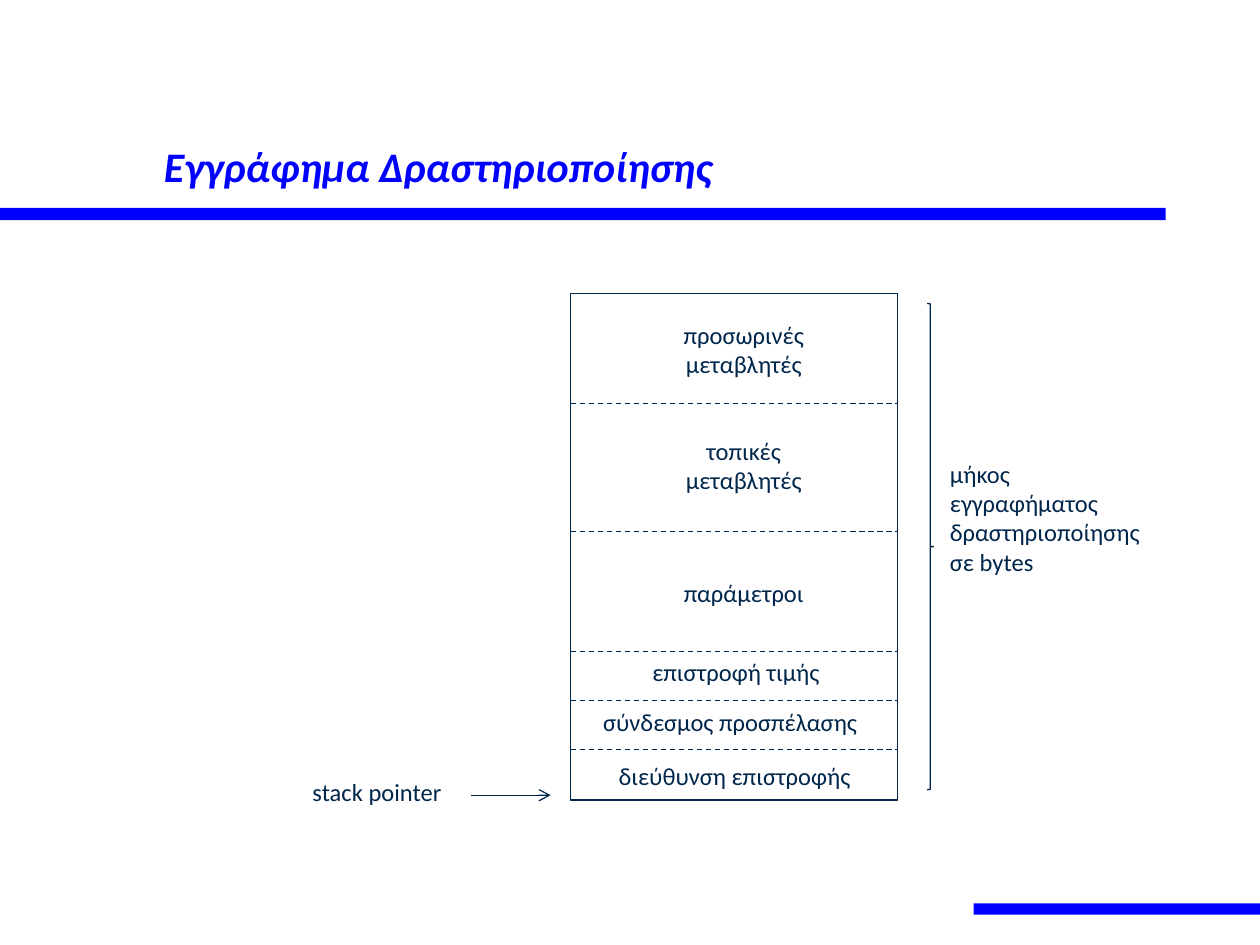
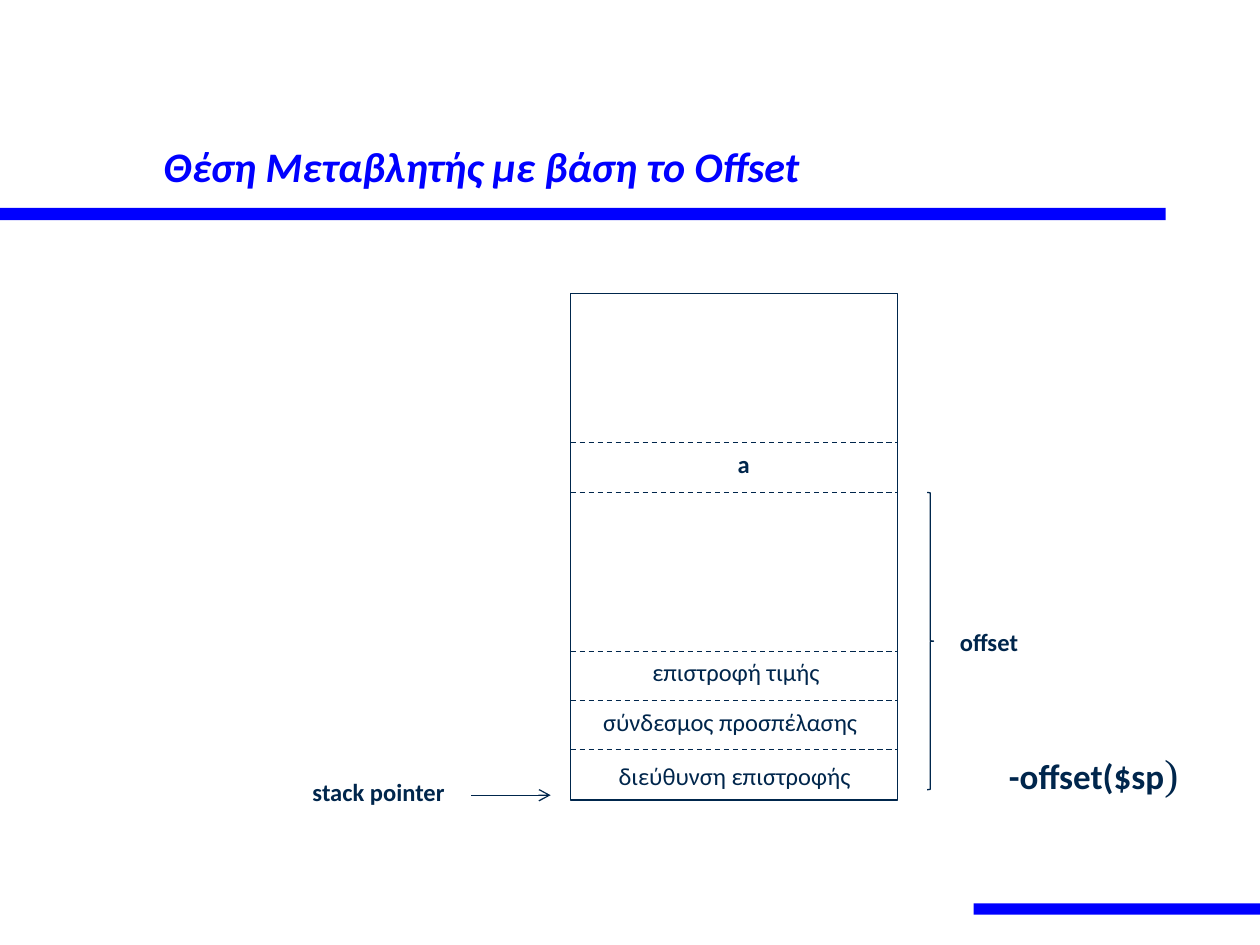
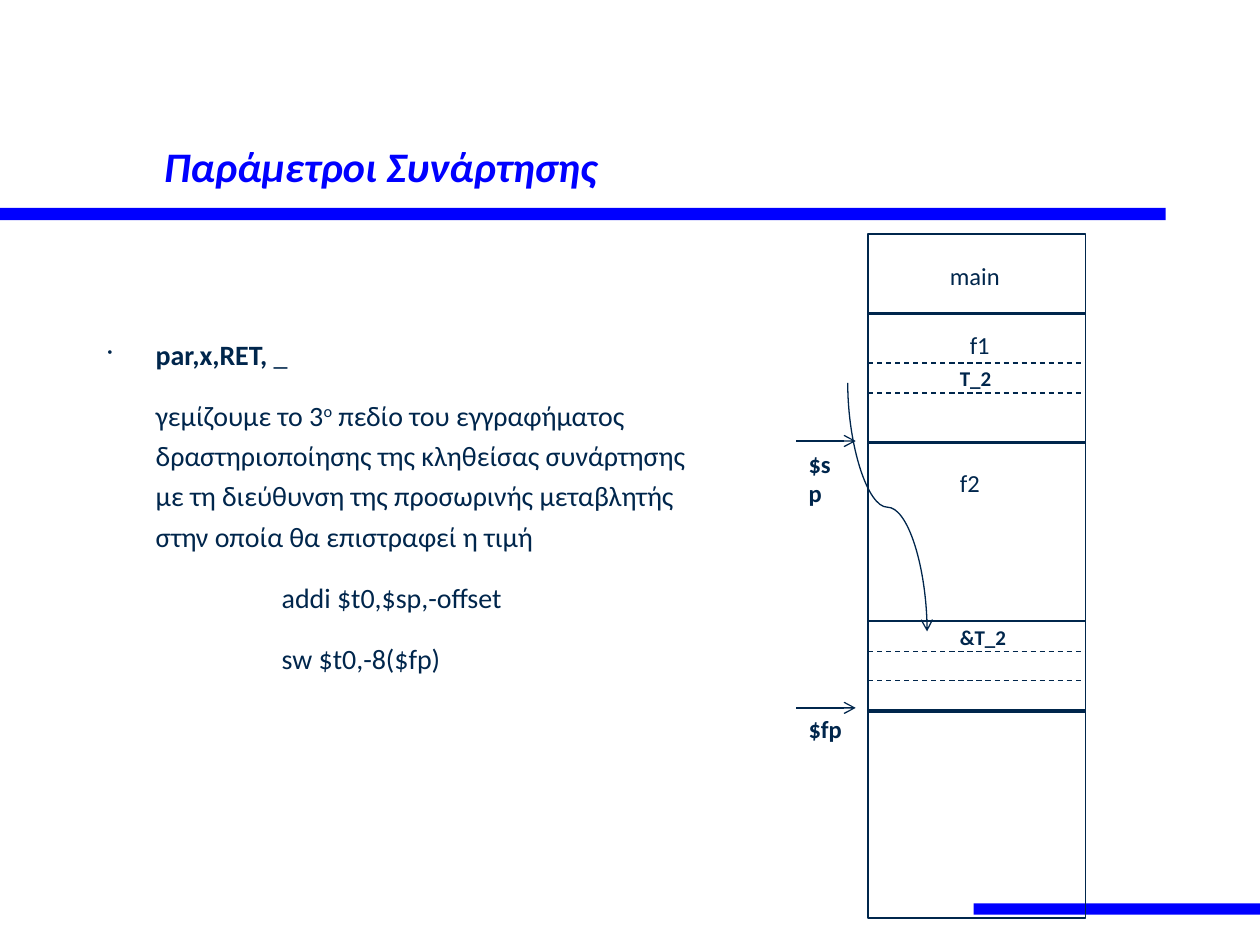
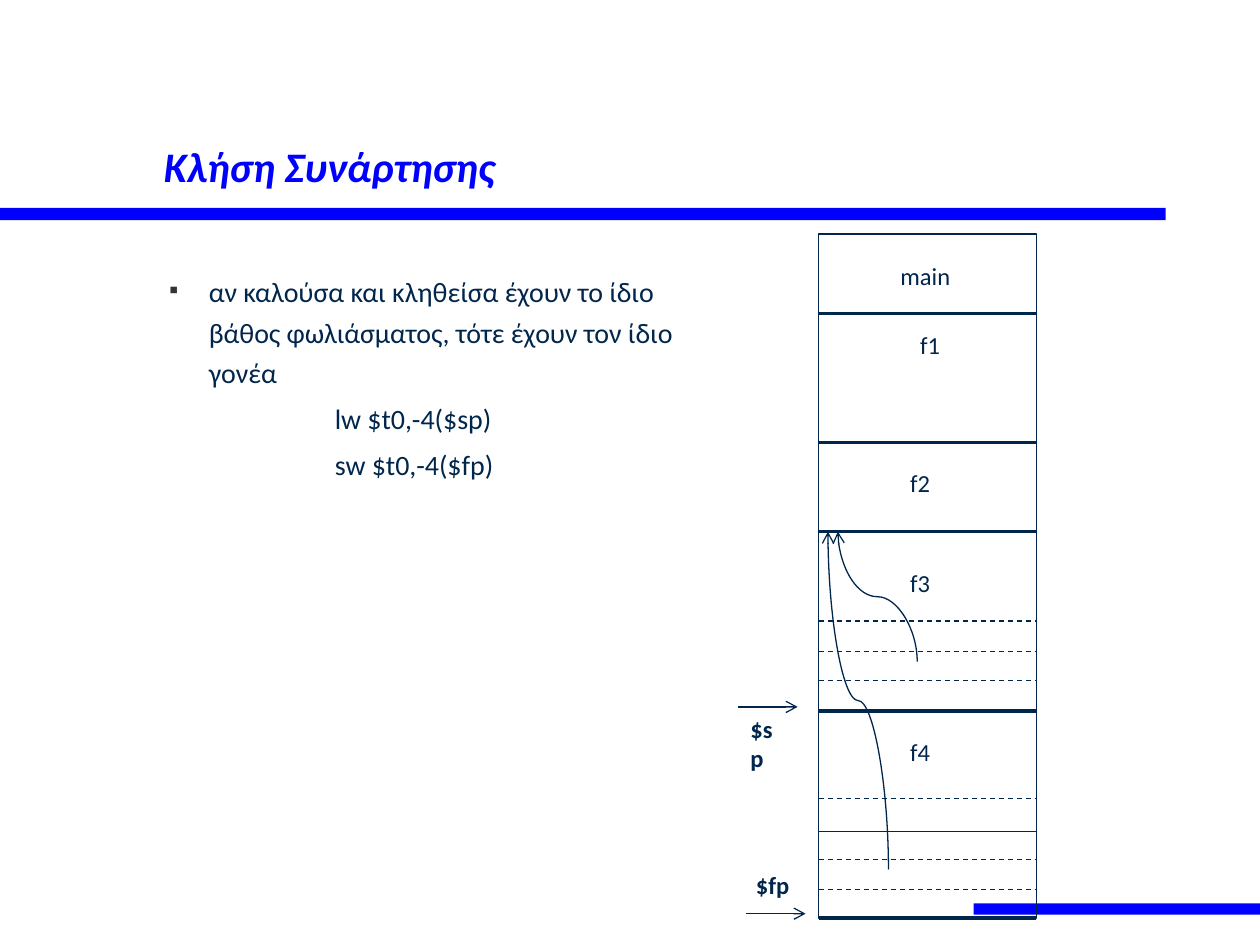
from dataclasses import dataclass

from lxml.etree import SubElement
from pptx import Presentation
from pptx.dml.color import RGBColor
from pptx.enum.dml import MSO_LINE
from pptx.enum.shapes import MSO_CONNECTOR, MSO_SHAPE
from pptx.enum.text import MSO_ANCHOR, MSO_AUTO_SIZE, PP_ALIGN
from pptx.oxml.ns import qn
from pptx.util import Cm, Pt

COLORS = {"band": "0000FF", "ink": "00264C", "bullet": "333333"}
TITLE = {"name": "Calibri", "size": Pt(24), "bold": True, "italic": True}
LABEL = {"name": "Calibri", "size": Pt(14), "bold": False}
STRONG = {**LABEL, "bold": True}
SMALL = {**STRONG, "size": Pt(12)}
BODY = {**LABEL, "size": Pt(16)}
THIN, THICK = 0.75, 2
LINE_HEIGHT = 0.86
ARROW = 1.2


@dataclass
class Box:
    """A region in centimetres."""
    left: float
    top: float
    width: float
    height: float

    def inner(self, x, y, width, height):
        return Box(self.left + x, self.top + y, width, height)

    def lengths(self):
        return [Cm(v) for v in (self.left, self.top, self.width, self.height)]


TITLE_BOX = Box(3.05, 0.79, 21.59, 3.18)
BANDS = [Box(0, 4.19, 23.5, 0.25), Box(19.63, 18.21, 5.77, 0.23)]
RECORD_BOX = Box(11.5, 5.92, 6.6, 10.21)
BODY_BOX = Box(1.9, 5.28, 12.4, 11.63)


def color(name):
    return RGBColor.from_string(COLORS[name])


def style_font(font, style, ink="ink"):
    for name, value in style.items():
        setattr(font, name, value)
    font.color.rgb = color(ink)


def add_span(para, words, style):
    span = para.add_run()
    span.text = words
    style_font(span.font, style)
    return span


# Basic parts
def add_outline(page, kind, box):
    shape = page.shapes.add_shape(kind, *box.lengths())
    shape.shadow.inherit = False
    shape.fill.background()
    shape.line.color.rgb = color("ink")
    shape.line.width = Pt(THIN)
    return shape


def add_label(page, box, lines, style=LABEL, align=PP_ALIGN.LEFT, wrap=True):
    """Text box; each line is a string or a list of (words, style)."""
    frame = page.shapes.add_textbox(*box.lengths()).text_frame
    frame.word_wrap = wrap
    frame.auto_size = MSO_AUTO_SIZE.SHAPE_TO_FIT_TEXT
    for index, line in enumerate(lines):
        para = frame.add_paragraph() if index else frame.paragraphs[0]
        para.alignment = align
        spans = [(line, style)] if isinstance(line, str) else line
        for words, span_style in spans:
            add_span(para, words, span_style)


def add_line(page, start, end, width=THIN, dashed=False, arrow=False,
             kind=MSO_CONNECTOR.STRAIGHT):
    ends = [Cm(value) for value in (*start, *end)]
    line = page.shapes.add_connector(kind, *ends)
    line.line.color.rgb = color("ink")
    line.line.width = Pt(width)
    if dashed:
        line.line.dash_style = MSO_LINE.DASH
    properties = line.element.spPr
    if arrow:
        SubElement(properties.find(qn("a:ln")), qn("a:tailEnd"), type="arrow")
    SubElement(properties, qn("a:effectLst"))
    return line


def add_curve(page, start, end):
    """S-curve leaving and arriving vertically: a horizontal one turned by 270 degrees."""
    (x1, y1), (x2, y2) = start, end
    x, y = (x1 + x2) / 2, (y1 + y2) / 2
    run, rise = (x2 - x1) / 2, (y2 - y1) / 2
    curve = add_line(page, (x + rise, y - run), (x - rise, y + run),
                     arrow=True, kind=MSO_CONNECTOR.CURVE)
    curve.element.spPr.find(qn("a:xfrm")).set("rot", str(270 * 60000))


def add_rows(page, box, offsets, **look):
    for offset in offsets:
        y = box.top + offset
        add_line(page, (box.left, y), (box.left + box.width, y), **look)


# Shared page parts
def set_up_layout(deck):
    """Put the bands on the title-only layout."""
    layout = deck.slide_layouts[5]
    for holder in list(layout.placeholders):
        if holder.placeholder_format.idx:
            holder.element.getparent().remove(holder.element)
    return layout


def add_bands(page, layout):
    for box in BANDS:
        band = page.shapes.add_shape(MSO_SHAPE.RECTANGLE, *box.lengths())
        band.shadow.inherit = False
        band.fill.solid()
        band.fill.fore_color.rgb = color("band")
        band.line.fill.background()
        layout.shapes.element.append(band.element)


def add_page(deck, layout, words):
    page = deck.slides.add_slide(layout)
    title = page.shapes.title
    title.left, title.top, title.width, title.height = TITLE_BOX.lengths()
    frame = title.text_frame
    frame.word_wrap = True
    frame.auto_size = MSO_AUTO_SIZE.NONE
    frame.vertical_anchor = MSO_ANCHOR.BOTTOM
    frame.text = words
    para = frame.paragraphs[0]
    para.alignment = PP_ALIGN.LEFT
    style_font(para.runs[0].font, TITLE, "band")
    return page


# Activation record with its brace and stack pointer
def draw_record(page, box, rows, centred, brace_top, pointer_style):
    add_outline(page, MSO_SHAPE.RECTANGLE, box)
    add_rows(page, box, rows + [7.21, 8.2, 9.19], dashed=True)
    for words, x, y, width in [("διεύθυνση επιστροφής", 0.72, 9.29, 5.59),
                               ("σύνδεσμος προσπέλασης", 0.41, 8.2, 6.12),
                               ("επιστροφή τιμής", 1.4, 7.21, 4.19)]:
        add_label(page, box.inner(x, y, width, LINE_HEIGHT), [words])
    for lines, y, style in centred:
        height = LINE_HEIGHT + 0.59 * (len(lines) - 1)
        add_label(page, box.inner(1.4, y, 4.19, height), lines, style, PP_ALIGN.CENTER)
    add_outline(page, MSO_SHAPE.RIGHT_BRACE,
                box.inner(7.19, brace_top, 0.13, 10 - brace_top))
    y = box.top + 10.11
    add_line(page, (box.left - 2, y), (box.left - 0.4, y), arrow=True)
    add_label(page, box.inner(-5.45, 9.62, 3.61, LINE_HEIGHT), ["stack pointer"], pointer_style)


# Call stack with function names, pointers and curves
def draw_stack(page, box, thick, thin, dashed, labels, pointers, curves):
    add_outline(page, MSO_SHAPE.RECTANGLE, box)
    add_rows(page, box, thick, width=THICK)
    add_rows(page, box, thin)
    add_rows(page, box, dashed, dashed=True)
    for words, x, y, width, style in [("main", 1.4, 0.41, 1.52, LABEL),
                                      ("f1", 1.8, 1.81, 0.91, LABEL),
                                      ("f2", 1.6, 4.6, 0.91, LABEL)] + labels:
        height = 0.76 if style is SMALL else LINE_HEIGHT
        add_label(page, box.inner(x, y, width, height), [words], style, wrap=False)
    for words, arrow_x, arrow_y, label_x, label_y in pointers:
        x, y = box.left + arrow_x, box.top + arrow_y
        add_line(page, (x, y), (x + ARROW, y), arrow=True)
        add_label(page, box.inner(label_x, label_y, 1.2, LINE_HEIGHT), [words],
                  STRONG, wrap=False)
    for points in curves:
        add_curve(page, *[(box.left + x, box.top + y) for x, y in points])


# Body text: paragraphs of spans, indented, some with a bullet
def draw_body(page, box, paras, gap, margin_top=0.13):
    frame = page.shapes.add_textbox(*box.lengths()).text_frame
    frame.word_wrap = True
    frame.margin_top = Cm(margin_top)
    for index, (spans, margin, hanging, bullet) in enumerate(paras):
        para = frame.add_paragraph() if index else frame.paragraphs[0]
        para.line_spacing = 1.2
        para.space_before = Pt(gap)
        properties = para._p.get_or_add_pPr()
        properties.set("marL", str(Cm(margin)))
        properties.set("indent", str(Cm(-hanging)))
        if bullet:
            sign, percent, ink = bullet
            tint = SubElement(properties, qn("a:buClr"))
            SubElement(tint, qn("a:srgbClr"), val=COLORS[ink])
            SubElement(properties, qn("a:buSzPct"), val=str(percent * 1000))
            SubElement(properties, qn("a:buChar"), char=sign)
        for words, look in spans:
            span = add_span(para, words, {**BODY, "bold": look == "bold"})
            if look == "raised":
                span._r.get_or_add_rPr().set("baseline", "30000")


# Pages
def build_record_page(deck, layout):
    page = add_page(deck, layout, "Εγγράφημα Δραστηριοποίησης")
    add_bands(page, layout)
    box = RECORD_BOX
    draw_record(page, box, [2.21, 4.8],
                [(["προσωρινές", "μεταβλητές"], 0.4, LABEL),
                 (["τοπικές", "μεταβλητές"], 2.74, LABEL),
                 (["παράμετροι"], 5.61, LABEL)], 0.2, LABEL)
    add_label(page, box.inner(7.4, 3.2, 4.6, 2.64),
              ["μήκος", "εγγραφήματος", "δραστηριοποίησης", "σε bytes"])


def build_offset_page(deck, layout):
    page = add_page(deck, layout, "Θέση Μεταβλητής με βάση το Offset")
    box = RECORD_BOX
    draw_record(page, box, [3, 4.01], [(["a"], 3, STRONG)], 4.01, STRONG)
    add_label(page, box.inner(7.6, 6.6, 4.6, LINE_HEIGHT), ["offset"], STRONG)
    closing = {"name": "Times New Roman", "size": Pt(24), "bold": False}
    add_label(page, box.inner(8.59, 9.02, 3.99, 1.27),
              [[("-offset($sp", {**STRONG, "size": Pt(20)}), (")", closing)]], wrap=False)


def build_parameter_page(deck, layout):
    page = add_page(deck, layout, "Παράμετροι Συνάρτησης")
    explanation = [
        ("γεμίζουμε το 3", ""), ("ο", "raised"),
        (" πεδίο του εγγραφήματος δραστηριοποίησης της κληθείσας συνάρτησης"
         " με τη διεύθυνση της προσωρινής μεταβλητής"
         " στην οποία θα επιστραφεί η τιμή", "")]
    draw_body(page, BODY_BOX, [
        ([("par,x,RET, ", "bold"), ("_", "")], 0.99, 0.97, ("•", 50, "ink")),
        (explanation, 0.99, 0, None),
        ([("addi $t0,$sp,-offset", "")], 3.53, 0, None),
        ([("sw $t0,-8($fp)", "")], 3.53, 0, None)], gap=12, margin_top=1.38)
    draw_stack(page, Box(17.5, 4.72, 4.39, 13.79),
               thick=[1.6, 4.2, 9.61], thin=[7.8], dashed=[2.6, 3.2, 8.41, 9],
               labels=[("T_2", 1.6, 2.52, 1.17, SMALL), ("&T_2", 1.6, 7.75, 1.47, SMALL)],
               pointers=[("$sp", -1.45, 4.17, -1.45, 4.2),
                         ("$fp", -1.45, 9.55, -1.45, 9.55)],
               curves=[((-0.41, 3), (1.19, 8.01))])


def build_call_page(deck, layout):
    page = add_page(deck, layout, "Κλήση Συνάρτησης")
    rule = "αν καλούσα και κληθείσα έχουν το ίδιο βάθος φωλιάσματος, τότε έχουν τον ίδιο γονέα"
    draw_body(page, BODY_BOX, [
        ([(rule, "")], 2.06, 0.79, ("■", 40, "bullet")),
        ([("lw $t0,-4($sp)", "")], 4.6, 0, None),
        ([("sw $t0,-4($fp)", "")], 4.6, 0, None)], gap=3.2)
    draw_stack(page, Box(16.5, 4.72, 4.39, 13.79),
               thick=[1.6, 4.2, 6, 9.61, 13.79], thin=[12.04],
               dashed=[7.8, 8.41, 9, 11.38, 12.6, 13.21],
               labels=[("f3", 1.6, 6.61, 0.91, LABEL), ("f4", 1.6, 10.01, 0.91, LABEL)],
               pointers=[("$sp", -1.62, 9.53, -1.62, 9.55),
                         ("$fp", -1.46, 13.7, -1.51, 12.7)],
               curves=[((1.99, 8.62), (0.39, 6)), ((1.41, 12.81), (0.19, 6))])


deck = Presentation()
deck.slide_width, deck.slide_height = Cm(25.4), Cm(19.05)
title_only = set_up_layout(deck)
for build in (build_record_page, build_offset_page, build_parameter_page, build_call_page):
    build(deck, title_only)
deck.save("out.pptx")
